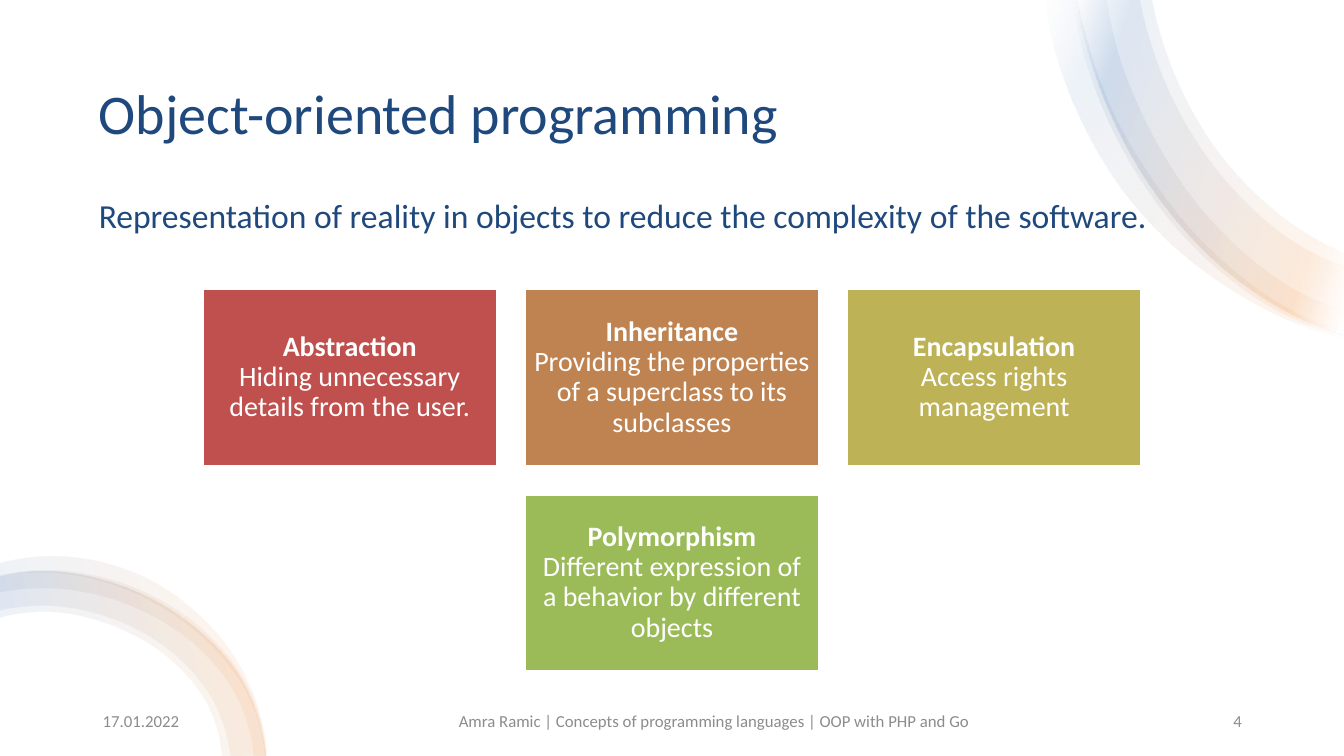
import math

import pptx
import pptx.util
import pptx.dml.color
import pptx.enum.shapes
import pptx.enum.text
import pptx.oxml
import pptx.oxml.ns

Cm = pptx.util.Cm
Pt = pptx.util.Pt
qn = pptx.oxml.ns.qn
NS = pptx.oxml.ns.nsdecls("a")
ALIGN = pptx.enum.text.PP_ALIGN
ANCHOR = pptx.enum.text.MSO_ANCHOR

COLORS = {
    "white": "FFFFFF", "navy": "1F497D", "grey": "8C8C8C",
    "red": "C0504D", "brown": "BE8351", "olive": "BDB255", "green": "9BBB59",
    "orange": "F79646", "blue": "4F81BD",
}
FADE = [(2, "white"), (16, "orange"), (85, "blue"), (100, "white")]
UNIT = 2.54

TOP_EDGE = [(10.68, 0), (10.99, 1.07), (11.52, 2), (12.23, 2.74), (13.09, 3.24), (13.33, 3.32)]
TOP_BANDS = [
    ([(10.37, 0), (10.41, 0.26), (10.78, 1.31), (11.16, 1.92), (11.65, 2.45),
      (12.21, 2.87), (12.82, 3.19), (13.33, 3.35)],
     [(13.33, 3.28), (13.01, 3.17), (12.57, 2.93), (12.3, 2.73), (11.81, 2.27),
      (11.4, 1.73), (11.06, 1.15), (10.82, 0.52), (10.69, 0)]),
    (TOP_EDGE,
     [(13.33, 2.51), (13.07, 2.38), (12.19, 1.64), (11.58, 0.55), (11.43, 0)]),
    ([(10.65, 0), (10.68, 0.2), (10.99, 1.19), (11.32, 1.79), (11.73, 2.33),
      (12.79, 3.14), (13.1, 3.27), (13.33, 3.33)],
     [(13.33, 3.08), (12.9, 2.9), (12.39, 2.55), (11.95, 2.11), (11.29, 1.04),
      (11.07, 0.44), (10.98, 0)]),
    (TOP_EDGE,
     [(13.33, 2.64), (13.01, 2.5), (12.1, 1.72), (11.47, 0.59), (11.31, 0)]),
]
BOTTOM_EDGE = [(0, 5.72), (0.4, 5.67), (1.17, 5.8), (1.85, 6.16), (2.36, 6.69), (2.63, 7.5)]
BOTTOM_BANDS = [
    (BOTTOM_EDGE,
     [(2.2, 7.5), (2.06, 7), (1.66, 6.52), (1.07, 6.19), (0.4, 6.07), (0, 6.13)]),
    (BOTTOM_EDGE,
     [(2.28, 7.5), (2.12, 6.97), (1.7, 6.47), (1.09, 6.13), (0.4, 6.01), (0, 6.06)]),
    ([(0, 5.71), (0.5, 5.66), (1.42, 5.87), (2.03, 6.27), (2.47, 6.85), (2.63, 7.5)],
     [(2.51, 7.5), (2.34, 6.91), (1.92, 6.39), (1.34, 6.03), (0.67, 5.85),
      (0.33, 5.84), (0, 5.88)]),
    ([(0, 5.59), (0.51, 5.52), (1.48, 5.75), (1.96, 6.09), (2.33, 6.53),
      (2.5, 6.87), (2.64, 7.5)],
     [(2.62, 7.5), (2.47, 6.93), (2.25, 6.58), (1.86, 6.2), (1.39, 5.91),
      (0.69, 5.7), (0.32, 5.68), (0, 5.72)]),
]

CARDS = [
    ("Abstraction", "Hiding unnecessary details from the user.", "red", 0, 0),
    ("Inheritance", "Providing the properties of a superclass to its subclasses", "brown", 1, 0),
    ("Encapsulation", "Access rights management", "olive", 2, 0),
    ("Polymorphism", "Different expression of a behavior by different objects", "green", 1, 1),
]
FOOTERS = [
    ("17.01.2022", 2.34, 7.62, ALIGN.LEFT),
    ("Amra Ramic | Concepts of programming languages | OOP with PHP and Go", 11.23, 13.54, ALIGN.CENTER),
    ("4", 23.93, 7.62, ALIGN.RIGHT),
]


def rgb(name):
    return pptx.dml.color.RGBColor.from_string(COLORS[name])


def write_text(sp, text, heading=None, size=12, color="grey", align=ALIGN.LEFT,
               anchor=ANCHOR.MIDDLE, spacing=1.0, inset=None):
    tf = sp.text_frame
    tf.word_wrap = True
    tf.auto_size = pptx.enum.text.MSO_AUTO_SIZE.NONE
    tf.vertical_anchor = anchor
    if inset is not None:
        tf.margin_left = tf.margin_right = tf.margin_top = tf.margin_bottom = Cm(inset)
    p = tf.paragraphs[0]
    p.alignment = align
    p.line_spacing = spacing
    for part, bold in ((heading, True), (text, False)):
        if part is None:
            continue
        r = p.add_run()
        r.text = part
        r.font.name = "Calibri"
        r.font.size = Pt(size)
        r.font.bold = bold
        r.font.color.rgb = rgb(color)
        if bold:
            p.add_line_break()


def add_text(s, text, left, top, width, height, **style):
    sp = s.shapes.add_textbox(Cm(left), Cm(top), Cm(width), Cm(height))
    write_text(sp, text, **style)


def add_title(s, text):
    sp = s.shapes.title
    sp.left, sp.top, sp.width, sp.height = Cm(2.24), Cm(1.27), Cm(29.39), Cm(3.3)
    write_text(sp, text, size=40, color="navy", spacing=0.9)


def add_box(s, left, top, width, height, color):
    sp = s.shapes.add_shape(pptx.enum.shapes.MSO_SHAPE.RECTANGLE,
                            Cm(left), Cm(top), Cm(width), Cm(height))
    sp.shadow.inherit = False
    sp.fill.solid()
    sp.fill.fore_color.rgb = rgb(color)
    sp.line.fill.background()
    return sp


def add_backdrop(s):
    sp = add_box(s, 0, 0, 33.87, 19.05, "white")
    s.shapes.title._element.addprevious(sp._element)


def curve_handles(points):
    chords = [math.dist(a, b) for a, b in zip(points, points[1:])]
    units = [((b[0] - a[0]) / d, (b[1] - a[1]) / d)
             for a, b, d in zip(points, points[1:], chords)]
    inner = [tuple((e * u[i] + d * v[i]) / (d + e) for i in (0, 1))
             for u, v, d, e in zip(units, units[1:], chords, chords[1:])]
    first = tuple(2 * u - t for u, t in zip(units[0], inner[0]))
    last = tuple(2 * u - t for u, t in zip(units[-1], inner[-1]))
    tangents = [first] + inner + [last]
    return [((a[0] + t[0] * d / 3, a[1] + t[1] * d / 3),
             (b[0] - w[0] * d / 3, b[1] - w[1] * d / 3), b)
            for a, b, t, w, d in zip(points, points[1:], tangents, tangents[1:], chords)]


def fade_fill(sp, angle):
    stops = "".join(
        f'<a:gs pos="{pos * 1000}"><a:srgbClr val="{COLORS[name]}">'
        '<a:alpha val="10000"/></a:srgbClr></a:gs>' for pos, name in FADE)
    grad = pptx.oxml.parse_xml(
        f'<a:gradFill {NS} rotWithShape="1"><a:gsLst>{stops}</a:gsLst>'
        f'<a:lin ang="{angle * 60000}" scaled="0"/></a:gradFill>')
    sp.fill.background()
    no_fill = sp._element.spPr.find(qn("a:noFill"))
    no_fill.getparent().replace(no_fill, grad)


def add_band(s, outer, inner, angle):
    outline = [(Cm(x * UNIT), Cm(y * UNIT)) for x, y in outer + inner]
    builder = s.shapes.build_freeform(*outline[0])
    builder.add_line_segments(outline[1:], close=True)
    sp = builder.convert_to_shape()
    sp.shadow.inherit = False
    sp.line.fill.background()
    fade_fill(sp, angle)
    lines = list(sp._element.iter(qn("a:lnTo")))
    curves = curve_handles(outer) + [None] + curve_handles(inner)
    for line, curve in zip(lines, curves):
        if curve is None:
            continue
        pts = "".join(f'<a:pt x="{Cm(x * UNIT) - sp.left}" y="{Cm(y * UNIT) - sp.top}"/>'
                      for x, y in curve)
        bezier = pptx.oxml.parse_xml(f"<a:cubicBezTo {NS}>{pts}</a:cubicBezTo>")
        line.getparent().replace(line, bezier)


def add_card(s, heading, text, color, column, row):
    sp = add_box(s, 5.12 + 8.12 * column, 7.3 + 5.17 * row, 7.39, 4.43, color)
    sp.line.color.rgb = rgb("white")
    sp.line.width = Pt(1)
    write_text(sp, text, heading=heading, size=20, color="white",
               align=ALIGN.CENTER, spacing=0.9, inset=0.2)


def main():
    prs = pptx.Presentation()
    prs.slide_width, prs.slide_height = Cm(33.87), Cm(19.05)
    s = prs.slides.add_slide(prs.slide_layouts[5])
    add_backdrop(s)
    add_title(s, "Object-oriented programming")
    for bands, angle in ((TOP_BANDS, 200), (BOTTOM_BANDS, 160)):
        for outer, inner in bands:
            add_band(s, outer, inner, angle)
    for card in CARDS:
        add_card(s, *card)
    add_text(s, "Representation of reality in objects to reduce the complexity of the software.",
             2.24, 4.78, 27.56, 2.06, size=24, color="navy", anchor=ANCHOR.TOP)
    for text, left, width, align in FOOTERS:
        add_text(s, text, left, 17.65, width, 1.02, align=align)
    prs.save("out.pptx")


if __name__ == "__main__":
    main()
